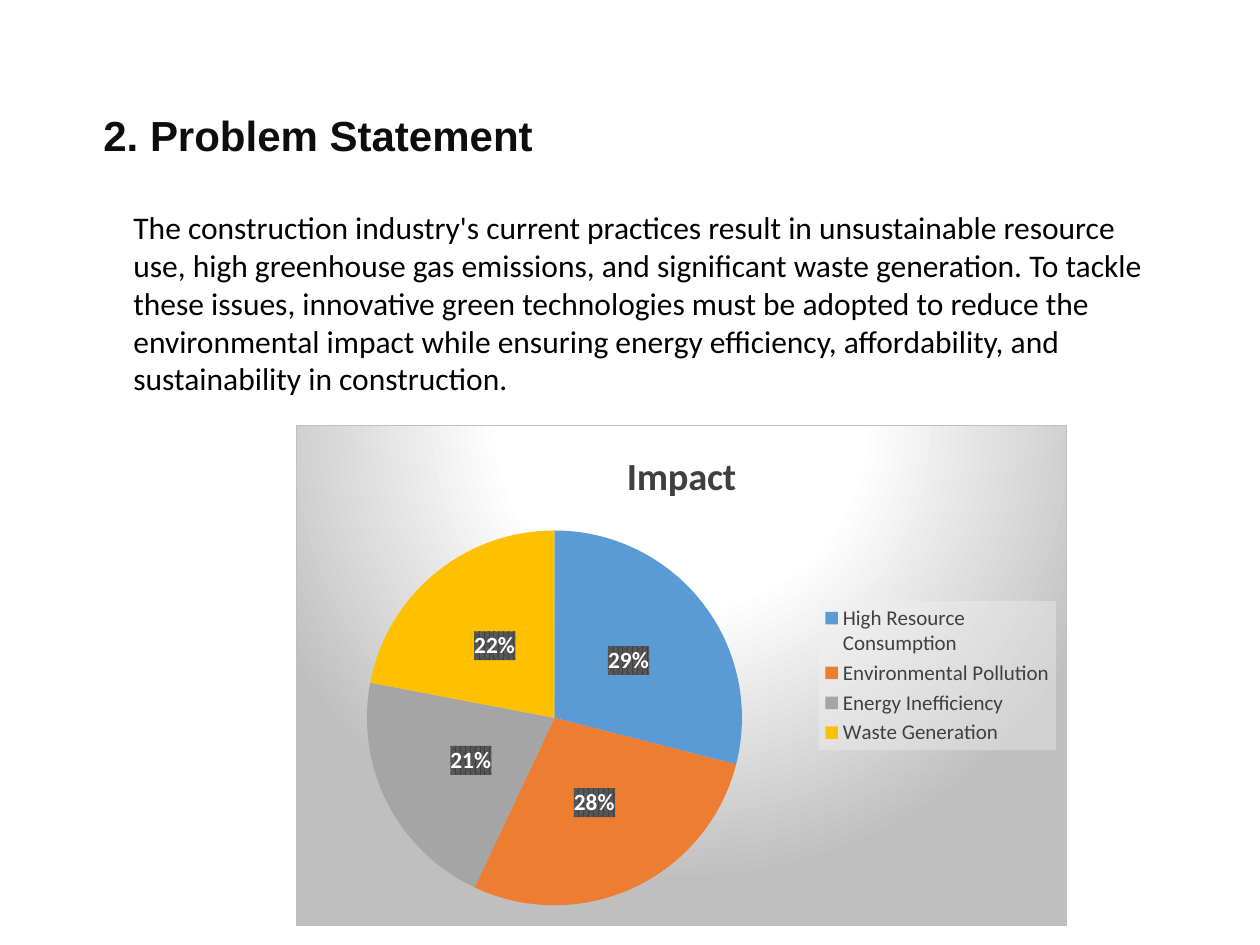
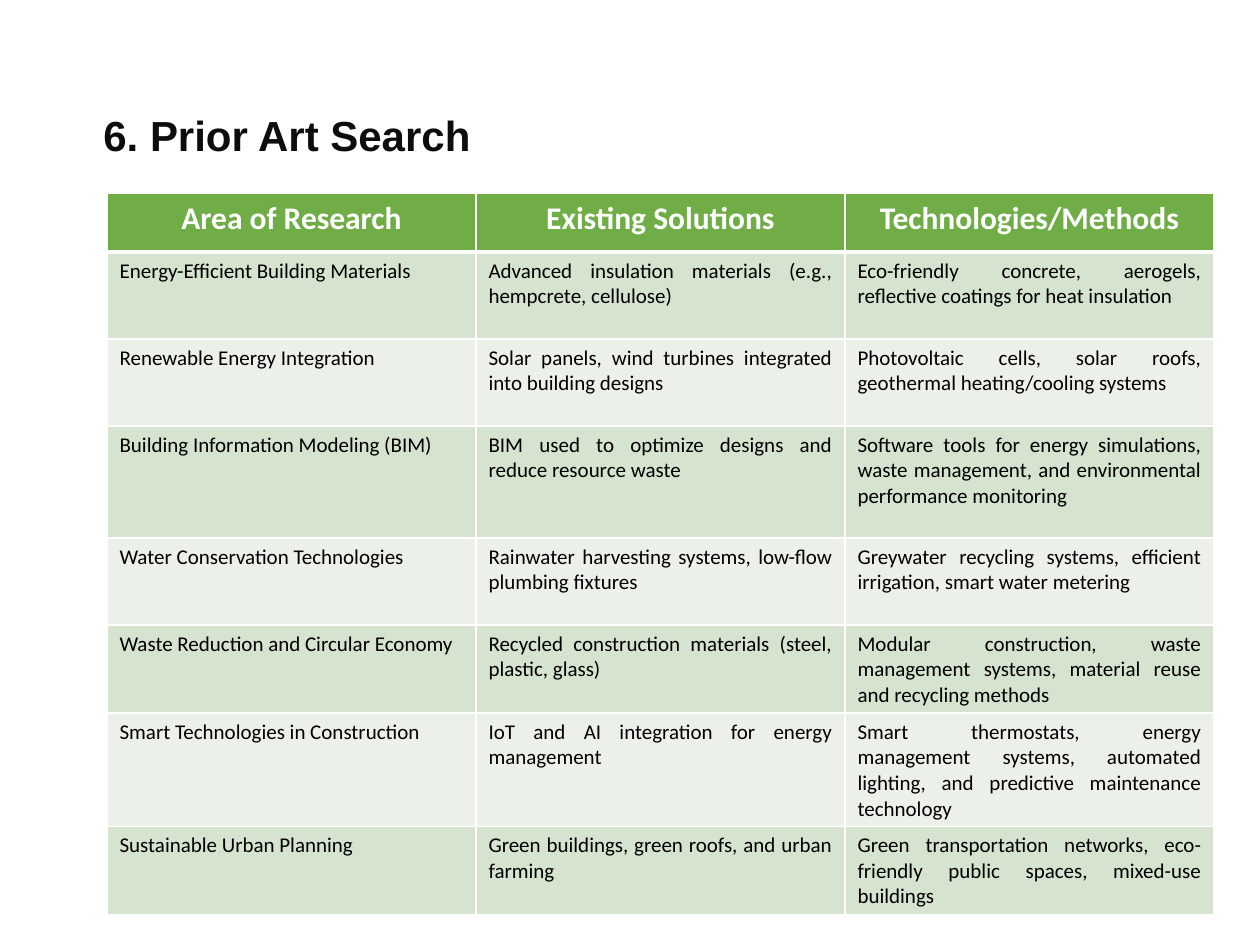
from pptx import Presentation
from pptx.chart.data import CategoryChartData
from pptx.dml.color import RGBColor
from pptx.enum.chart import XL_CHART_TYPE, XL_LABEL_POSITION, XL_LEGEND_POSITION
from pptx.enum.text import PP_ALIGN
from pptx.oxml import parse_xml
from pptx.oxml.ns import nsdecls, qn
from pptx.util import Pt

TITLES = ["2. Problem Statement", "6. Prior Art Search"]
BODY = (
    "The construction industry's current practices result in unsustainable "
    "resource use, high greenhouse gas emissions, and significant waste "
    "generation. To tackle these issues, innovative green technologies must be "
    "adopted to reduce the environmental impact while ensuring energy "
    "efficiency, affordability, and sustainability in construction."
)
IMPACT = [
    ("High Resource Consumption", 29, "5B9BD5"),
    ("Environmental Pollution", 28, "ED7D31"),
    ("Energy Inefficiency", 21, "A5A5A5"),
    ("Waste Generation", 22, "FFC000"),
]
HEADS = ("Area of Research", "Existing Solutions", "Technologies/Methods")
# Row height in px, then the three cells
ROWS = [
    (87, "Energy-Efficient Building Materials",
     "Advanced insulation materials (e.g., hempcrete, cellulose)",
     "Eco-friendly concrete, aerogels, reflective coatings for heat insulation"),
    (87, "Renewable Energy Integration",
     "Solar panels, wind turbines integrated into building designs",
     "Photovoltaic cells, solar roofs, geothermal heating/cooling systems"),
    (112, "Building Information Modeling (BIM)",
     "BIM used to optimize designs and reduce resource waste",
     "Software tools for energy simulations, waste management, and "
     "environmental performance monitoring"),
    (87, "Water Conservation Technologies",
     "Rainwater harvesting systems, low-flow plumbing fixtures",
     "Greywater recycling systems, efficient irrigation, smart water metering"),
    (87, "Waste Reduction and Circular Economy",
     "Recycled construction materials (steel, plastic, glass)",
     "Modular construction, waste management systems, material reuse and "
     "recycling methods"),
    (112, "Smart Technologies in Construction",
     "IoT and AI integration for energy management",
     "Smart thermostats, energy management systems, automated lighting, and "
     "predictive maintenance technology"),
    (87, "Sustainable Urban Planning",
     "Green buildings, green roofs, and urban farming",
     "Green transportation networks, eco-friendly public spaces, mixed-use "
     "buildings"),
]

BLACK, WHITE, INK, DARK = "000000", "FFFFFF", "0D0D0D", "404040"
SILVER, GREEN = "BFBFBF", "70AD47"
BANDS = ("D5E3CF", "EBF1E9")
HEAD_H, COL_W = 59, 369


def px(*vals):
    """Turn px lengths into EMU, at 126 px to the inch."""
    return [round(v * 914400 / 126) for v in vals]


def rgb(code):
    return RGBColor.from_string(code)


def style(font, size, color, bold=False, name="Calibri"):
    font.size, font.bold, font.name = Pt(size), bold, name
    font.color.rgb = rgb(color)


def add_text(slide, box, text, *look):
    frame = slide.shapes.add_textbox(*px(*box)).text_frame
    frame.word_wrap = True
    frame.text = text
    style(frame.paragraphs[0].runs[0].font, *look)


def add_page(deck, title):
    slide = deck.slides.add_slide(deck.slide_layouts[6])
    add_text(slide, (91, 103, 702, 60), title, 24, INK, True, "Arial")
    return slide


def clr(code, extra=""):
    return f'<a:srgbClr val="{code}">{extra}</a:srgbClr>'


def paint(node, fill):
    """Give a chart part a fill, placed just before its text properties."""
    xml = f'<c:spPr {nsdecls("c", "a")}>{fill}</c:spPr>'
    node.find(qn("c:txPr")).addprevious(parse_xml(xml))


def lay_out(plot, **spots):
    """Fix the inner plot area, in fractions of the chart."""
    old = plot.find(qn("c:layout"))
    if old is not None:
        plot.remove(old)
    sets = "".join(f'<c:{k}Mode val="edge"/>' for k in "xy")
    sets += "".join(f'<c:{k} val="{v}"/>' for k, v in spots.items())
    plot.insert(0, parse_xml(
        f'<c:layout {nsdecls("c")}><c:manualLayout>'
        f'<c:layoutTarget val="inner"/>{sets}</c:manualLayout></c:layout>'))


def add_pie(slide):
    names, vals, tints = zip(*IMPACT)
    data = CategoryChartData()
    data.categories = names
    data.add_series("Impact", vals)
    chart = slide.shapes.add_chart(
        XL_CHART_TYPE.PIE, *px(296, 425, 771, 501), data).chart
    style(chart.font, 10, BLACK)

    chart.has_title = True
    head = chart.chart_title.text_frame
    head.text = "Impact"
    style(head.paragraphs[0].runs[0].font, 22, DARK, True)

    chart.has_legend = True
    chart.legend.position = XL_LEGEND_POSITION.RIGHT
    chart.legend.include_in_layout = False
    style(chart.legend.font, 12, DARK)

    plot = chart.plots[0]
    plot.vary_by_categories = True
    pie = plot.series[0]
    for i, tint in enumerate(tints):
        fill = pie.points[i].format.fill
        fill.solid()
        fill.fore_color.rgb = rgb(tint)
    tags = pie.data_labels
    tags.show_value, tags.show_percentage = False, True
    tags.number_format, tags.number_format_is_linked = "0%", False
    tags.position = XL_LABEL_POSITION.CENTER
    style(tags.font, 13.3, WHITE, True)

    root = chart.element
    stops = "".join(f'<a:gs pos="{at * 1000}">{clr(code)}</a:gs>'
                    for at, code in ((0, WHITE), (39, WHITE), (100, SILVER)))
    paint(root, f'<a:gradFill><a:gsLst>{stops}</a:gsLst><a:path path="circle">'
                '<a:fillToRect l="50000" t="-80000" r="50000" b="180000"/>'
                '</a:path></a:gradFill>'
                f'<a:ln w="9525"><a:solidFill>{clr(SILVER)}</a:solidFill></a:ln>')
    glass = clr("F2F2F2", '<a:alpha val="39000"/>')
    paint(next(root.iter(qn("c:legend"))),
          f"<a:solidFill>{glass}</a:solidFill>")
    paint(next(root.iter(qn("c:dLbls"))),
          f'<a:pattFill prst="pct75"><a:fgClr>{clr(DARK)}</a:fgClr>'
          f'<a:bgClr>{clr("595959")}</a:bgClr></a:pattFill>')
    lay_out(next(root.iter(qn("c:plotArea"))), x=0.09, y=0.21, w=0.49, h=0.75)


def edge(cell, top, base):
    """Draw white cell borders; top and base are widths in points."""
    props = cell._tc.get_or_add_tcPr()
    for side, wide in zip("LRTB", (1, 1, top, base)):
        props.append(parse_xml(
            f'<a:ln{side} {nsdecls("a")} w="{Pt(wide)}">'
            f'<a:solidFill>{clr(WHITE)}</a:solidFill></a:ln{side}>'))


def add_grid(slide):
    rows = [(HEAD_H, *HEADS), *ROWS]
    tall = sum(row[0] for row in rows)
    grid = slide.shapes.add_table(
        len(rows), len(HEADS), *px(107, 193, COL_W * len(HEADS), tall)).table
    for r, (high, *texts) in enumerate(rows):
        grid.rows[r].height = px(high)[0]
        for c, text in enumerate(texts):
            cell = grid.cell(r, c)
            edge(cell, 3 if r == 1 else 1, 3 if r == 0 else 1)
            cell.fill.solid()
            cell.fill.fore_color.rgb = rgb(BANDS[(r - 1) % 2] if r else GREEN)
            cell.text = text
            para = cell.text_frame.paragraphs[0]
            para.alignment = PP_ALIGN.JUSTIFY if r else PP_ALIGN.CENTER
            look = (12, BLACK) if r else (18, WHITE, True)
            style(para.runs[0].font, *look)


def main():
    deck = Presentation()
    deck.slide_width, deck.slide_height = px(1260, 945)
    first, second = [add_page(deck, title) for title in TITLES]
    add_text(first, (121, 202, 1052, 204), BODY, 18, BLACK)
    add_pie(first)
    add_grid(second)
    deck.save("out.pptx")


if __name__ == "__main__":
    main()
